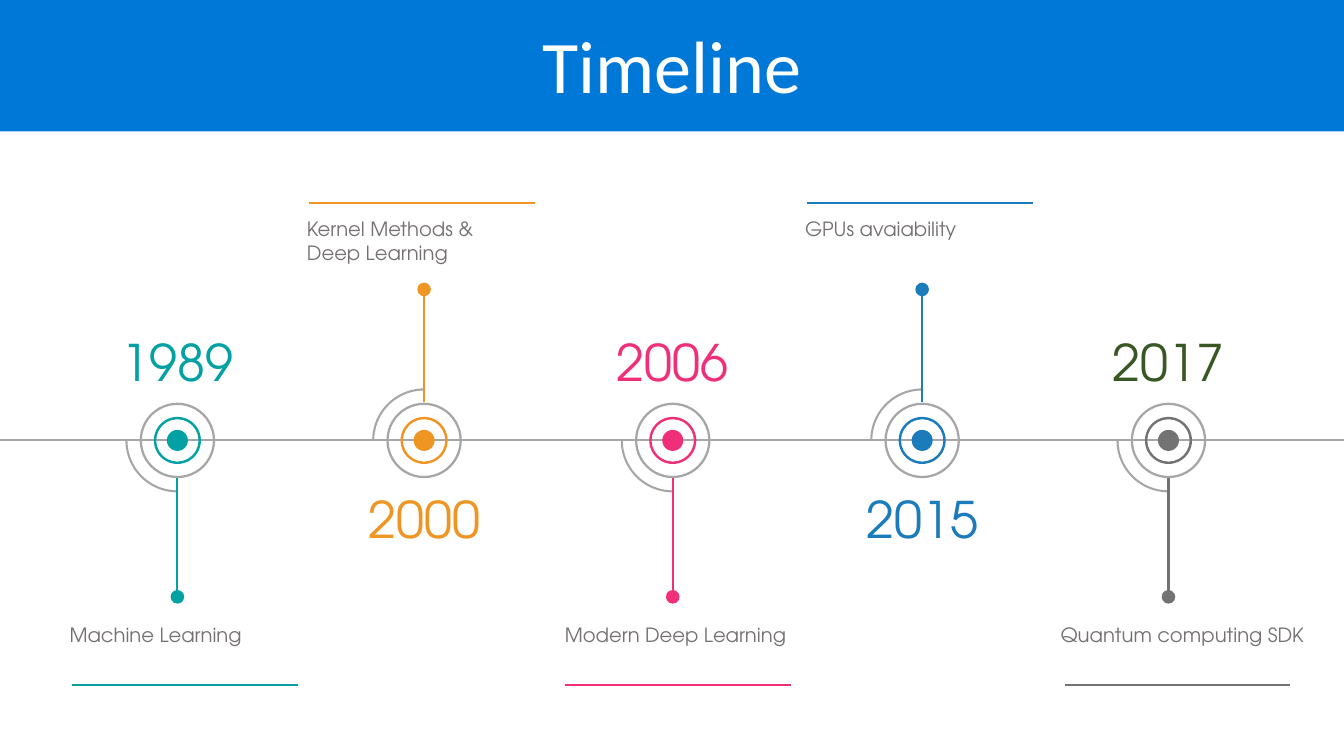
"""Build a slide with a timeline of five machine learning milestones."""
from dataclasses import dataclass

import lxml.etree
import pptx
import pptx.dml.color
import pptx.enum.shapes
import pptx.enum.text
import pptx.oxml.ns
import pptx.shapes.autoshape
import pptx.slide
import pptx.text.text
import pptx.util

Cm = pptx.util.Cm
Pt = pptx.util.Pt
Preset = pptx.enum.shapes.MSO_SHAPE
Align = pptx.enum.text.PP_ALIGN

COLOURS = {
    "blue": "0078D7", "white": "FFFFFF", "axis": "A6A6A6", "caption": "767171",
    "teal": "03A1A4", "orange": "EE9524", "pink": "EF3078",
    "azure": "1C7CBB", "grey": "737373", "green": "385723",
}
FONT = "TeX Gyre Adventor"
SLIDE_WIDTH, SLIDE_HEIGHT = 34.54, 19.43
HEADER_HEIGHT = 3.38
AXIS_Y = 11.32
YEAR_WIDTH, YEAR_HEIGHT = 4.29, 1.85
CAPTION_WIDTH = 7.4
RULE_WIDTH = 5.8


@dataclass(frozen=True)
class Side:
    """Placement of the parts on one side of the axis, in centimetres."""
    pin_start: float
    pin_end: float
    pin_head: float
    year_top: float
    caption_top: float
    caption_indent: float
    rule_y: float
    arc_rotation: int


@dataclass(frozen=True)
class Milestone:
    """One year on the axis with its caption."""
    centre: float
    rule_left: float
    side: Side
    colour: str
    year_colour: str
    year: str
    caption: tuple[str, ...]


ABOVE = Side(10.34, 7.42, 7.44, 12.42, 5.46, 3.26, 5.21, 90)
BELOW = Side(12.29, 15.24, 15.34, 8.38, 15.88, 3.02, 17.6, 0)

MILESTONES = (
    Milestone(4.56, 1.85, BELOW, "teal", "teal", "1989", ("Machine Learning",)),
    Milestone(10.9, 7.95, ABOVE, "orange", "orange", "2000", ("Kernel Methods &", "Deep Learning")),
    Milestone(17.29, 14.53, BELOW, "pink", "pink", "2006", ("Modern Deep Learning",)),
    Milestone(23.7, 20.75, ABOVE, "azure", "azure", "2015", ("GPUs avaiability",)),
    Milestone(30.03, 27.36, BELOW, "grey", "green", "2017", ("Quantum computing SDK",)),
)


def rgb(colour: str) -> pptx.dml.color.RGBColor:
    """Return the named colour."""
    return pptx.dml.color.RGBColor.from_string(COLOURS[colour])


def add_line(slide: pptx.slide.Slide, x1: float, y1: float, x2: float, y2: float, colour: str) -> None:
    """Draw a straight line without a shadow."""
    line = slide.shapes.add_connector(
        pptx.enum.shapes.MSO_CONNECTOR.STRAIGHT, Cm(x1), Cm(y1), Cm(x2), Cm(y2))
    line.line.color.rgb = rgb(colour)
    line.line.width = Pt(1.5)
    lxml.etree.SubElement(line._element.spPr, pptx.oxml.ns.qn("a:effectLst"))


def add_filled(slide: pptx.slide.Slide, preset: Preset, left: float, top: float, width: float,
               height: float, colour: str) -> pptx.shapes.autoshape.Shape:
    """Draw a preset shape with a plain fill and no outline."""
    shape = slide.shapes.add_shape(preset, Cm(left), Cm(top), Cm(width), Cm(height))
    shape.shadow.inherit = False
    shape.fill.solid()
    shape.fill.fore_color.rgb = rgb(colour)
    shape.line.fill.background()
    return shape


def add_disc(slide: pptx.slide.Slide, x: float, y: float, size: float, colour: str) -> None:
    """Draw a disc around a centre."""
    add_filled(slide, Preset.OVAL, x - size / 2, y - size / 2, size, size, colour)


def add_ring(slide: pptx.slide.Slide, x: float, size: float, thickness: float, colour: str) -> None:
    """Draw a ring centred on the axis."""
    ring = add_filled(slide, Preset.DONUT, x - size / 2, AXIS_Y - size / 2, size, size, colour)
    ring.adjustments[0] = thickness


def add_arc(slide: pptx.slide.Slide, x: float, rotation: int) -> None:
    """Draw the quarter arc outside the rings."""
    size = 2.62
    arc = slide.shapes.add_shape(
        Preset.ARC, Cm(x - size / 2), Cm(AXIS_Y - size / 2), Cm(size), Cm(size))
    arc.adjustments[0] = 54.2
    arc.adjustments[1] = 108.53
    arc.rotation = rotation
    arc.shadow.inherit = False
    arc.fill.background()
    arc.line.color.rgb = rgb("axis")
    arc.line.width = Pt(1.5)


def add_run(paragraph: pptx.text.text._Paragraph, text: str, size: float, font: str, colour: str) -> None:
    """Append a formatted run."""
    run = paragraph.add_run()
    run.text = text
    run.font.size = Pt(size)
    run.font.name = font
    run.font.color.rgb = rgb(colour)


def add_text(slide: pptx.slide.Slide, left: float, top: float, width: float, height: float,
             lines: tuple[str, ...], size: float, colour: str, align: Align) -> None:
    """Write lines of text as paragraphs in one box."""
    frame = slide.shapes.add_textbox(Cm(left), Cm(top), Cm(width), Cm(height)).text_frame
    frame.word_wrap = True
    frame.auto_size = pptx.enum.text.MSO_AUTO_SIZE.SHAPE_TO_FIT_TEXT
    for index, line in enumerate(lines):
        paragraph = frame.add_paragraph() if index else frame.paragraphs[0]
        paragraph.alignment = align
        add_run(paragraph, line, size, FONT, colour)


def add_milestone(slide: pptx.slide.Slide, milestone: Milestone) -> None:
    """Draw one milestone with its marker, pin, year, caption and rule."""
    x, side, colour = milestone.centre, milestone.side, milestone.colour
    add_arc(slide, x, side.arc_rotation)
    add_disc(slide, x, AXIS_Y, 0.54, colour)
    add_ring(slide, x, 1.21, 0.05, colour)
    add_ring(slide, x, 1.94, 0.03, "axis")
    add_line(slide, x, side.pin_start, x, side.pin_end, colour)
    add_disc(slide, x, side.pin_head, 0.35, colour)
    add_text(slide, x - YEAR_WIDTH / 2, side.year_top, YEAR_WIDTH, YEAR_HEIGHT,
             (milestone.year,), 36.7, milestone.year_colour, Align.CENTER)
    add_text(slide, x - side.caption_indent, side.caption_top, CAPTION_WIDTH,
             0.26 + 0.61 * len(milestone.caption), milestone.caption, 14.3, "caption", Align.LEFT)
    add_line(slide, milestone.rule_left, side.rule_y,
             milestone.rule_left + RULE_WIDTH, side.rule_y, colour)


def set_title(slide: pptx.slide.Slide, text: str) -> None:
    """Place and format the slide title."""
    title = slide.shapes.title
    title.left, title.top, title.width, title.height = Cm(6.96), Cm(0.38), Cm(20.62), Cm(2.57)
    frame = title.text_frame
    frame.word_wrap = True
    frame.auto_size = pptx.enum.text.MSO_AUTO_SIZE.NONE
    frame.vertical_anchor = pptx.enum.text.MSO_ANCHOR.TOP
    frame.paragraphs[0].alignment = Align.CENTER
    add_run(frame.paragraphs[0], text, 54, "Calibri", "white")


def main() -> None:
    """Build and save the presentation."""
    presentation = pptx.Presentation()
    presentation.slide_width, presentation.slide_height = Cm(SLIDE_WIDTH), Cm(SLIDE_HEIGHT)
    slide = presentation.slides.add_slide(presentation.slide_layouts[5])
    slide.background.fill.solid()
    slide.background.fill.fore_color.rgb = rgb("blue")
    set_title(slide, "Timeline")
    add_filled(slide, Preset.RECTANGLE, 0, HEADER_HEIGHT, SLIDE_WIDTH,
               SLIDE_HEIGHT - HEADER_HEIGHT, "white")
    add_line(slide, 0, AXIS_Y, SLIDE_WIDTH, AXIS_Y, "axis")
    for milestone in MILESTONES:
        add_milestone(slide, milestone)
    presentation.save("out.pptx")


if __name__ == "__main__":
    main()
